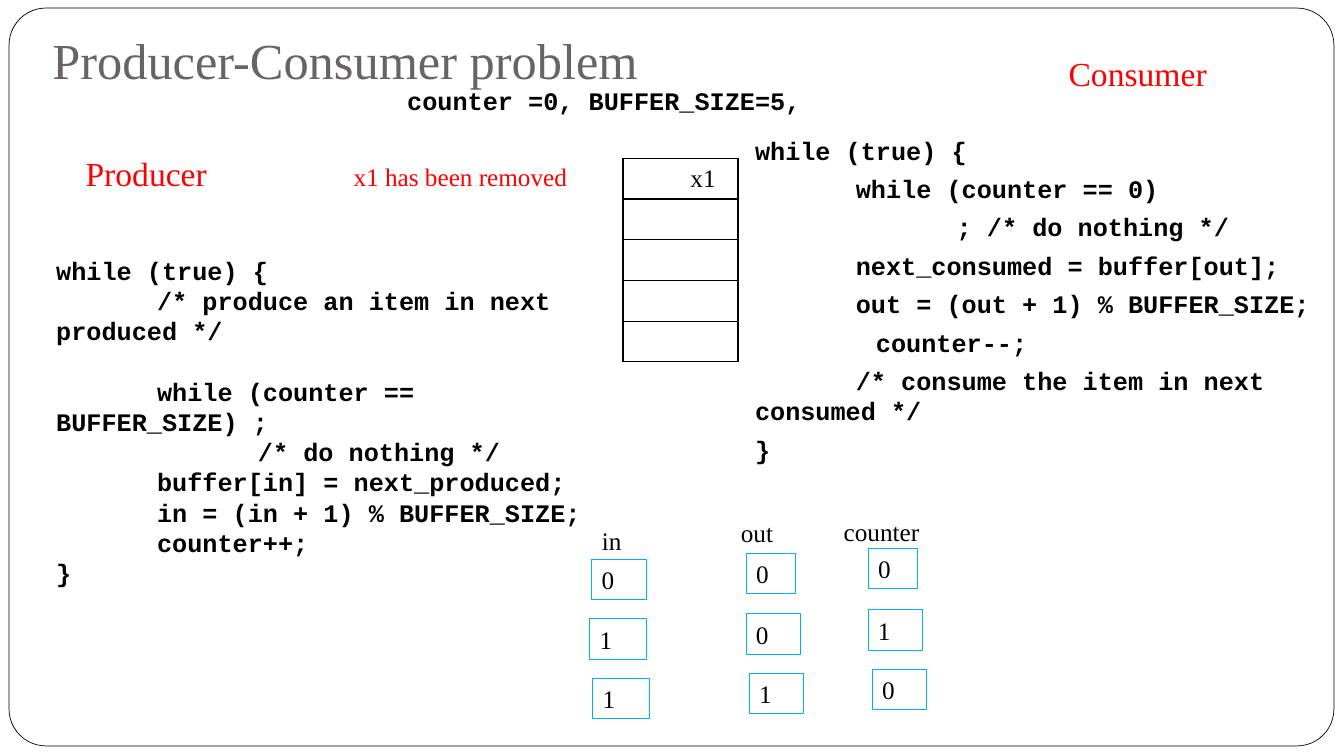
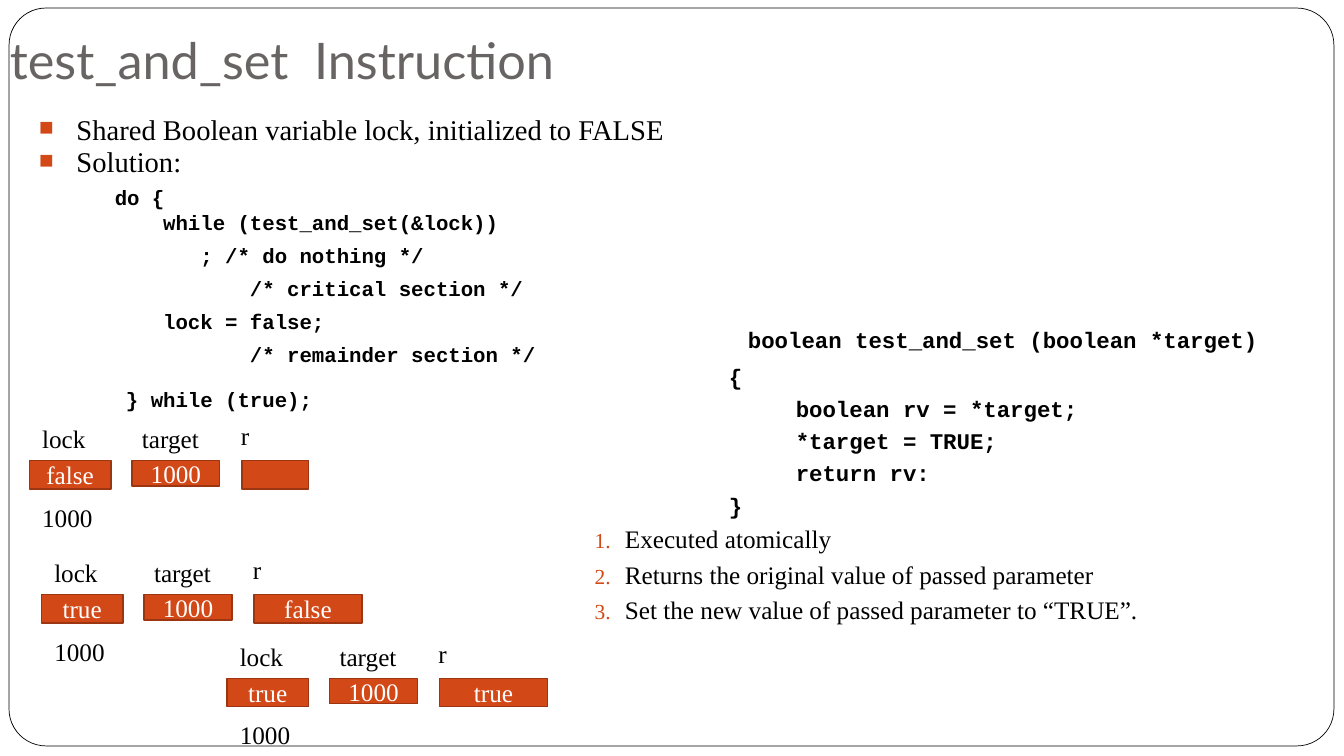
from dataclasses import dataclass
from typing import Optional, Sequence

from lxml import etree
from pptx import Presentation
from pptx.dml.color import RGBColor
from pptx.enum.shapes import MSO_SHAPE as Preset
from pptx.enum.text import MSO_ANCHOR as Anchor, PP_ALIGN as Align
from pptx.oxml.ns import qn
from pptx.shapes.autoshape import Shape
from pptx.slide import Slide
from pptx.table import _Cell as Cell
from pptx.text.text import TextFrame, _Paragraph as Paragraph
from pptx.util import Inches, Pt

BLACK = RGBColor(0x00, 0x00, 0x00)
WHITE = RGBColor(0xFF, 0xFF, 0xFF)
RED = RGBColor(0xFF, 0x00, 0x00)
TITLE_GRAY = RGBColor(0x69, 0x64, 0x64)
ORANGE = RGBColor(0xD3, 0x48, 0x17)
DARK_ORANGE = RGBColor(0x9C, 0x35, 0x11)
SKY_BLUE = RGBColor(0x00, 0xB0, 0xF0)

SERIF = "Times New Roman"
CODE = "Courier New"
TITLE_TOP, TITLE_HEIGHT = 0.36, 0.63
LABEL_HEIGHT = 0.4
PARAGRAPH_GAP = 5.8
BUFFER_SIZE = 5


@dataclass(frozen=True)
class Style:
    font: str = SERIF
    size: float = 18
    color: RGBColor = BLACK
    bold: bool = False
    line_spacing: Optional[float] = None
    hanging: float = 0
    bullet: str = ""
    numbered: bool = False


@dataclass(frozen=True)
class Line:
    text: str
    style: Style
    before: float = 0
    indent: float = 0


@dataclass(frozen=True)
class Label:
    text: str
    left: float
    top: float
    width: float
    style: Style = Style()


@dataclass(frozen=True)
class MemoryState:
    left: float
    top: float
    lock: str
    result: str
    result_width: float


RED_NOTE = Style(color=RED)
RED_HEADING = Style(size=24, color=RED)
CELL_VALUE = Style(color=WHITE)
LOOP_CODE = Style(CODE, 18, bold=True)
SOLUTION_CODE = Style(CODE, 14.8, bold=True)
FUNCTION_CODE = Style(CODE, 16, bold=True, line_spacing=0.9)
BULLET = Style(size=20.4, line_spacing=0.7, hanging=0.37, bullet="■")
NUMBERED = Style(line_spacing=0.9, hanging=0.3, numbered=True)

PRODUCER_CODE = [
    Line("while (true) {", LOOP_CODE),
    Line("/* produce an item in next produced */", LOOP_CODE, indent=1),
    Line("while (counter == BUFFER_SIZE) ;", LOOP_CODE, before=21.6, indent=1),
    Line("/* do nothing */", LOOP_CODE, indent=2),
    Line("buffer[in] = next_produced;", LOOP_CODE, indent=1),
    Line("in = (in + 1) % BUFFER_SIZE;", LOOP_CODE, indent=1),
    Line("counter++;", LOOP_CODE, indent=1),
    Line("}", LOOP_CODE),
]
CONSUMER_CODE = [
    Line(text, LOOP_CODE, PARAGRAPH_GAP, indent)
    for text, indent in (
        ("while (true) {", 0),
        ("while (counter == 0)", 1),
        ("; /* do nothing */", 2),
        ("next_consumed = buffer[out];", 1),
        ("out = (out + 1) % BUFFER_SIZE;", 1),
        ("        counter--;", 0),
        ("/* consume the item in next consumed */", 1),
        ("}", 0),
    )
]
BUFFER_LABELS = [
    Label("Producer", 0.75, 1.47, 1.62, RED_HEADING),
    Label("Consumer", 10.5, 0.48, 1.62, RED_HEADING),
    Label("x1 has been removed", 3.41, 1.55, 2.7, RED_NOTE),
    Label("x1", 6.75, 1.56, 0.57),
    Label("counter =0, BUFFER_SIZE=5,", 3.94, 0.8, 4.12, LOOP_CODE),
    Label("in", 5.87, 5.16, 0.49),
    Label("out", 7.25, 5.08, 0.62),
    Label("counter", 8.27, 5.07, 1.16),
]
VARIABLE_VALUES = [
    Label("0", 5.87, 5.55, 0.54),
    Label("1", 5.85, 6.14, 0.56),
    Label("1", 5.88, 6.73, 0.56),
    Label("0", 7.4, 5.49, 0.49),
    Label("0", 7.4, 6.09, 0.54),
    Label("1", 7.43, 6.68, 0.54),
    Label("0", 8.61, 5.44, 0.49),
    Label("1", 8.61, 6.05, 0.54),
    Label("0", 8.65, 6.64, 0.54),
]
SOLUTION = [
    Line("Shared Boolean variable lock, initialized to FALSE", BULLET),
    Line("Solution:", BULLET, PARAGRAPH_GAP),
    Line("do {", SOLUTION_CODE, PARAGRAPH_GAP, indent=0.75),
    Line("          while (test_and_set(&lock))", SOLUTION_CODE),
    Line("             ; /* do nothing */", SOLUTION_CODE, PARAGRAPH_GAP),
    Line("                 /* critical section */", SOLUTION_CODE, PARAGRAPH_GAP),
    Line("          lock = false;", SOLUTION_CODE, PARAGRAPH_GAP),
    Line("                 /* remainder section */", SOLUTION_CODE, PARAGRAPH_GAP),
    Line("       } while (true);", SOLUTION_CODE, before=14.4),
]
TEST_AND_SET = [
    Line("boolean test_and_set (boolean *target)", FUNCTION_CODE, indent=0.19),
    Line("{", FUNCTION_CODE, before=8.6),
    Line("     boolean rv = *target;", FUNCTION_CODE, PARAGRAPH_GAP),
    Line("     *target = TRUE;", FUNCTION_CODE, PARAGRAPH_GAP),
    Line("     return rv:", FUNCTION_CODE, PARAGRAPH_GAP),
    Line("}", FUNCTION_CODE, PARAGRAPH_GAP),
]
PROPERTIES = [
    Line(text, NUMBERED, PARAGRAPH_GAP)
    for text in (
        "Executed atomically",
        "Returns the original value of passed parameter",
        "Set the new value of passed parameter to “TRUE”.",
    )
]
MEMORY_STATES = [
    MemoryState(0.29, 4.57, "false", "", 0.66),
    MemoryState(0.41, 5.9, "true", "false", 1.07),
    MemoryState(2.25, 6.73, "true", "true", 1.07),
]


def add_layout_marks(paragraph: Paragraph, line: Line) -> None:
    """Set the indents and the bullet or number."""
    style = line.style
    properties = paragraph._p.get_or_add_pPr()
    properties.set("marL", str(Inches(style.hanging)))
    properties.set("indent", str(Inches(line.indent - style.hanging)))
    if not (style.bullet or style.numbered):
        etree.SubElement(properties, qn("a:buNone"))
        return
    color = etree.SubElement(properties, qn("a:buClr"))
    etree.SubElement(color, qn("a:srgbClr"), val=str(ORANGE))
    etree.SubElement(properties, qn("a:buSzPct"), val="85000")
    etree.SubElement(properties, qn("a:buFont"), typeface=SERIF)
    if style.numbered:
        etree.SubElement(properties, qn("a:buAutoNum"), type="arabicPeriod")
    else:
        etree.SubElement(properties, qn("a:buChar"), char=style.bullet)


def write_lines(frame: TextFrame, lines: Sequence[Line], align: Align = Align.LEFT) -> None:
    for index, line in enumerate(lines):
        paragraph = frame.add_paragraph() if index else frame.paragraphs[0]
        paragraph.text = line.text
        add_layout_marks(paragraph, line)
        style = line.style
        paragraph.alignment = align
        paragraph.space_before = Pt(line.before if index else 0)
        if style.line_spacing:
            paragraph.line_spacing = style.line_spacing
        font = paragraph.font
        font.name, font.size, font.bold = style.font, Pt(style.size), style.bold
        font.color.rgb = style.color


def add_text(slide: Slide, left: float, top: float, width: float, height: float,
             lines: Sequence[Line]) -> TextFrame:
    box = slide.shapes.add_textbox(Inches(left), Inches(top), Inches(width), Inches(height))
    box.text_frame.word_wrap = True
    write_lines(box.text_frame, lines)
    return box.text_frame


def add_label(slide: Slide, label: Label) -> None:
    add_text(slide, label.left, label.top, label.width, LABEL_HEIGHT,
             [Line(label.text, label.style)])


def add_box(slide: Slide, preset: Preset, left: float, top: float, width: float, height: float,
            fill: Optional[RGBColor], line: RGBColor, weight: float) -> Shape:
    shape = slide.shapes.add_shape(preset, Inches(left), Inches(top), Inches(width), Inches(height))
    shape.shadow.inherit = False
    if fill is None:
        shape.fill.background()
    else:
        shape.fill.solid()
        shape.fill.fore_color.rgb = fill
    shape.line.color.rgb = line
    shape.line.width = Pt(weight)
    return shape


def add_titled_slide(presentation: Presentation, title: str, left: float, font: str) -> Slide:
    slide = presentation.slides.add_slide(presentation.slide_layouts[6])
    border = add_box(slide, Preset.ROUNDED_RECTANGLE, 0.09, 0.08, 13.14, 7.32, WHITE, BLACK, 0.5)
    border.adjustments[0] = 0.05
    style = Style(font, 36, TITLE_GRAY)
    frame = add_text(slide, left, TITLE_TOP, 8.09, TITLE_HEIGHT, [Line(title, style)])
    frame.margin_bottom = Inches(0.1)
    frame.vertical_anchor = Anchor.BOTTOM
    return slide


def outline_cell(cell: Cell) -> None:
    properties = cell._tc.get_or_add_tcPr()
    for index, side in enumerate(("lnL", "lnR", "lnT", "lnB")):
        border = etree.Element(qn(f"a:{side}"), w=str(Pt(1)))
        fill = etree.SubElement(border, qn("a:solidFill"))
        etree.SubElement(fill, qn("a:srgbClr"), val=str(BLACK))
        properties.insert(index, border)


def add_buffer(slide: Slide) -> None:
    table = slide.shapes.add_table(BUFFER_SIZE, 1, Inches(6.18), Inches(1.57), Inches(1.14),
                                   Inches(2.02)).table
    table.first_row = table.horz_banding = False
    for cell in table.iter_cells():
        cell.fill.background()
        outline_cell(cell)


def add_memory_state(slide: Slide, state: MemoryState) -> None:
    cells = [
        (state.lock, 0, 0.81, 0.28),
        ("1000", 1.02, 0.87, 0.25),
        (state.result, 2.11, state.result_width, 0.28),
    ]
    for value, offset, width, height in cells:
        cell = add_box(slide, Preset.RECTANGLE, state.left + offset, state.top, width, height,
                       ORANGE, DARK_ORANGE, 1)
        if value:
            cell.text_frame.vertical_anchor = Anchor.MIDDLE
            write_lines(cell.text_frame, [Line(value, CELL_VALUE)], Align.CENTER)
    captions = [("lock", 0.03, -0.42), ("target", 1.02, -0.42), ("r", 2, -0.45),
                ("1000", 0.03, 0.36)]
    for text, across, down in captions:
        add_label(slide, Label(text, state.left + across, state.top + down, 0.9))


def build_producer_consumer(presentation: Presentation) -> None:
    slide = add_titled_slide(presentation, "Producer-Consumer problem", 0.42, SERIF)
    add_text(slide, 7.39, 1.29, 5.94, 3.5, CONSUMER_CODE)
    add_text(slide, 0.46, 2.48, 5.54, 3.43, PRODUCER_CODE)
    add_buffer(slide)
    for label in BUFFER_LABELS:
        add_label(slide, label)
    for value in VARIABLE_VALUES:
        box = add_box(slide, Preset.RECTANGLE, value.left, value.top, value.width, LABEL_HEIGHT,
                      None, SKY_BLUE, 0.75)
        write_lines(box.text_frame, [Line(value.text, value.style)])


def build_test_and_set(presentation: Presentation) -> None:
    slide = add_titled_slide(presentation, "test_and_set  Instruction", 0, "Lato")
    add_text(slide, 7.13, 3.22, 5.8, 2, TEST_AND_SET)
    add_text(slide, 5.8, 5.18, 6.9, 1.1, PROPERTIES)
    add_text(slide, 0.29, 1.15, 7.51, 3, SOLUTION)
    for state in MEMORY_STATES:
        add_memory_state(slide, state)


def main() -> None:
    presentation = Presentation()
    presentation.slide_width, presentation.slide_height = Inches(13.33), Inches(7.5)
    build_producer_consumer(presentation)
    build_test_and_set(presentation)
    presentation.save("out.pptx")


if __name__ == "__main__":
    main()
